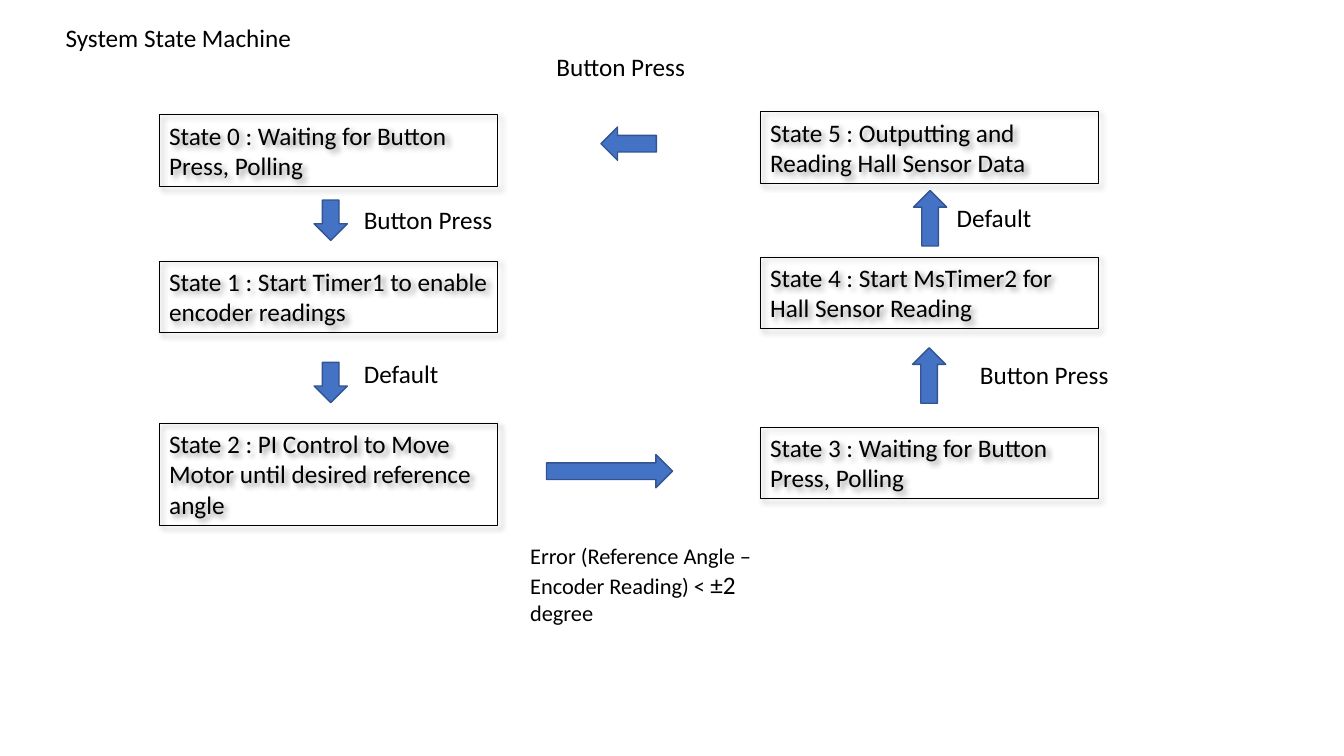
"""Builds the system state machine slide."""
from dataclasses import dataclass

from lxml import etree
from pptx import Presentation
from pptx.dml.color import RGBColor
from pptx.enum.shapes import MSO_SHAPE
from pptx.enum.text import MSO_ANCHOR, MSO_AUTO_SIZE, PP_ALIGN
from pptx.oxml.ns import qn
from pptx.shapes.autoshape import Shape
from pptx.slide import Slide
from pptx.util import Inches, Pt

RECTANGLE = MSO_SHAPE.RECTANGLE
RIGHT_ARROW = MSO_SHAPE.RIGHT_ARROW
TOP = MSO_ANCHOR.TOP
LEFT = PP_ALIGN.LEFT
GROW = MSO_AUTO_SIZE.SHAPE_TO_FIT_TEXT


@dataclass(frozen=True)
class Theme:
    font: str = "Calibri"
    ink: RGBColor = RGBColor(0, 0, 0)
    arrow_fill: RGBColor = RGBColor(0x44, 0x72, 0xC4)
    arrow_line: RGBColor = RGBColor(0x32, 0x54, 0x91)
    body_size: int = 18
    condition_size: int = 16
    state_border: float = 0.75
    arrow_border: float = 1


@dataclass(frozen=True)
class State:
    text: str
    left: float
    top: float
    height: float = 0.71


@dataclass(frozen=True)
class Arrow:
    left: float
    top: float
    length: float
    rotation: int = 0


@dataclass(frozen=True)
class Label:
    text: str
    left: float
    top: float


THEME = Theme()
STATE_WIDTH = 3.36
ARROW_THICKNESS = 0.33
LABEL_WIDTH, LABEL_HEIGHT = 1.75, 0.4
LEFT_COLUMN, RIGHT_COLUMN = 1.58, 7.54

STATES = (
    State("State 0 : Waiting for Button Press, Polling", LEFT_COLUMN, 1.14),
    State("State 1 : Start Timer1 to enable encoder readings", LEFT_COLUMN, 2.59),
    State("State 2 : PI Control to Move Motor until desired reference angle",
          LEFT_COLUMN, 4.2, 1.01),
    State("State 3 : Waiting for Button Press, Polling", RIGHT_COLUMN, 4.24),
    State("State 4 : Start MsTimer2 for Hall Sensor Reading", RIGHT_COLUMN, 2.55),
    State("State 5 : Outputting and Reading Hall Sensor Data", RIGHT_COLUMN, 1.11),
)
ARROWS = (
    Arrow(3.08, 2.02, 0.4, 90),
    Arrow(3.08, 3.63, 0.4, 90),
    Arrow(5.42, 4.51, 1.25),
    Arrow(8.94, 3.56, 0.55, 270),
    Arrow(8.95, 2, 0.55, 270),
    Arrow(5.96, 1.26, 0.55, 180),
)
LABELS = (
    Label("Button Press", 3.51, 1.98),
    Label("Default", 3.51, 3.51),
    Label("Button Press", 9.62, 3.52),
    Label("Default", 9.39, 1.96),
    Label("Button Press", 5.42, 0.46),
)
CONDITION_RUNS = (
    ("Error (Reference Angle – Encoder Reading) < ", THEME.condition_size),
    ("±2", THEME.body_size),
    (" degree", THEME.condition_size),
)


def write_text(shape: Shape, text: str) -> None:
    """Fill a shape with one left-aligned paragraph in the body style."""
    frame = shape.text_frame
    frame.text = text
    frame.word_wrap = True
    frame.auto_size = GROW
    frame.vertical_anchor = TOP
    paragraph = frame.paragraphs[0]
    paragraph.alignment = LEFT
    paragraph.font.name = THEME.font
    paragraph.font.size = Pt(THEME.body_size)
    paragraph.font.color.rgb = THEME.ink


def add_soft_shadow(shape: Shape) -> None:
    """Give a shape a translucent shadow towards the lower right."""
    shape.shadow.inherit = False
    effects = shape.element.spPr.find(qn("a:effectLst"))
    shadow = etree.SubElement(effects, qn("a:outerShdw"), blurRad=str(Pt(4)),
                              dist=str(Pt(3)), dir="2700000", algn="tl",
                              rotWithShape="0")
    colour = etree.SubElement(shadow, qn("a:srgbClr"), val=str(THEME.ink))
    etree.SubElement(colour, qn("a:alpha"), val="40000")


def add_title(slide: Slide, text: str) -> None:
    """Place the slide title."""
    title = slide.shapes.title
    title.left, title.top = Inches(0.55), Inches(0.17)
    title.width, title.height = Inches(4.05), Inches(LABEL_HEIGHT)
    write_text(title, text)


def add_state(slide: Slide, state: State) -> None:
    """Draw one outlined state box."""
    box = slide.shapes.add_shape(RECTANGLE, Inches(state.left), Inches(state.top),
                                 Inches(STATE_WIDTH), Inches(state.height))
    box.fill.background()
    box.line.color.rgb = THEME.ink
    box.line.width = Pt(THEME.state_border)
    add_soft_shadow(box)
    write_text(box, state.text)


def add_arrow(slide: Slide, arrow: Arrow) -> None:
    """Draw one transition arrow."""
    block = slide.shapes.add_shape(RIGHT_ARROW, Inches(arrow.left), Inches(arrow.top),
                                   Inches(arrow.length), Inches(ARROW_THICKNESS))
    block.rotation = arrow.rotation
    block.shadow.inherit = False
    block.fill.solid()
    block.fill.fore_color.rgb = THEME.arrow_fill
    block.line.color.rgb = THEME.arrow_line
    block.line.width = Pt(THEME.arrow_border)


def add_label(slide: Slide, label: Label, width: float = LABEL_WIDTH,
              height: float = LABEL_HEIGHT) -> Shape:
    """Write one transition label and return it."""
    caption = slide.shapes.add_textbox(Inches(label.left), Inches(label.top),
                                       Inches(width), Inches(height))
    write_text(caption, label.text)
    return caption


def add_condition(slide: Slide) -> None:
    """Write the error condition in its two type sizes."""
    condition = add_label(slide, Label("", 5.16, 5.33), 2.49, 0.94)
    paragraph = condition.text_frame.paragraphs[0]
    for text, size in CONDITION_RUNS:
        run = paragraph.add_run()
        run.text = text
        run.font.size = Pt(size)


def main() -> None:
    """Build and save the presentation."""
    presentation = Presentation()
    presentation.slide_width, presentation.slide_height = Inches(13.33), Inches(7.5)
    title_only = presentation.slide_layouts.get_by_name("Title Only")
    slide = presentation.slides.add_slide(title_only)
    add_title(slide, "System State Machine")
    for state in STATES:
        add_state(slide, state)
    for arrow in ARROWS:
        add_arrow(slide, arrow)
    for label in LABELS:
        add_label(slide, label)
    add_condition(slide)
    presentation.save("out.pptx")


if __name__ == "__main__":
    main()
